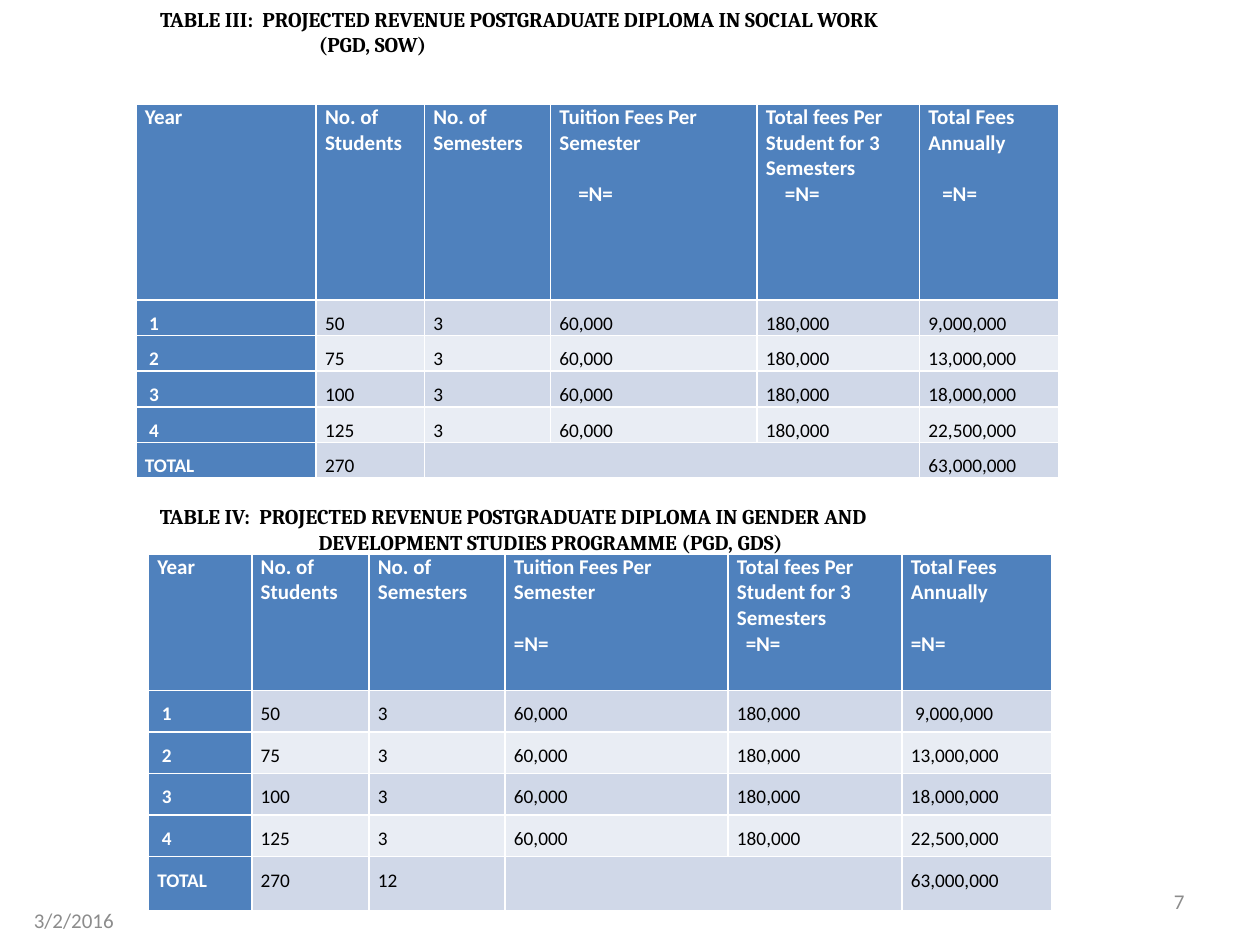
from lxml.etree import SubElement
from pptx import Presentation
from pptx.dml.color import RGBColor
from pptx.enum.text import MSO_ANCHOR as Anchor, MSO_AUTO_SIZE as AutoSize, PP_ALIGN as Align
from pptx.oxml.ns import qn
from pptx.util import Inches, Pt

BLUE, WHITE, BLACK, GREY = "4F81BD", "FFFFFF", "000000", "8C8C8C"
BANDS = ["D0D8E8", "E9EDF4"]
HEADERS = ["Year", "No. of Students", "No. of Semesters", "Tuition Fees Per Semester",
           "Total fees Per Student for 3 Semesters", "Total Fees Annually"]
FIRST_UNIT_COL = 3
STUDENTS = [50, 75, 100, 125]
ANNUAL_FEES = ["9,000,000", "13,000,000", "18,000,000", "22,500,000"]
YEARS = [[f" {year}", str(students), "3", "60,000", "180,000", fees]
         for year, (students, fees) in enumerate(zip(STUDENTS, ANNUAL_FEES), 1)]


def rgb(hex_code):
    return RGBColor.from_string(hex_code)


def write(paragraph, text, size=12, font="Calibri", color=BLACK, bold=False,
          align=Align.LEFT, indent=0, before=0, spacing=None):
    run = paragraph.add_run()
    run.text = text
    run.font.size, run.font.name, run.font.bold = Pt(size), font, bold
    run.font.color.rgb = rgb(color)
    paragraph.alignment = align
    paragraph.space_before = Pt(before)
    if spacing:
        paragraph.line_spacing = spacing
    if indent:
        paragraph._p.get_or_add_pPr().set("marL", str(Inches(indent)))


def place(shape, left, top, width, height, anchor):
    shape.left, shape.top = Inches(left), Inches(top)
    shape.width, shape.height = Inches(width), Inches(height)
    frame = shape.text_frame
    frame.word_wrap, frame.auto_size = True, AutoSize.NONE
    frame.vertical_anchor = anchor
    return frame


def add_box(slide):
    return slide.shapes.add_textbox(0, 0, 0, 0)


def fill_heading(shape, top, width, first_line, second_line):
    frame = place(shape, 1.17, top, width, 0.81, Anchor.TOP)
    style = dict(font="Cambria", bold=True)
    write(frame.paragraphs[0], first_line, **style)
    write(frame.add_paragraph(), second_line, indent=1.26, **style)


def add_footer(slide, left, top, text, align):
    frame = place(add_box(slide), left, top, 2.33, 0.4, Anchor.MIDDLE)
    write(frame.paragraphs[0], text, color=GREY, align=align)


def style_cell(cell, color):
    cell.fill.solid()
    cell.fill.fore_color.rgb = rgb(color)
    cell.margin_left = cell.margin_right = Inches(0.07)
    cell.margin_top = cell.margin_bottom = 0


def fill_header(cell, col, unit_indents):
    style_cell(cell, BLUE)
    style = dict(color=WHITE, bold=True)
    write(cell.text_frame.paragraphs[0], HEADERS[col], **style)
    if col >= FIRST_UNIT_COL:
        # Two-line labels leave a line free so that every unit sits level.
        before = 0 if "Student" in HEADERS[col] else 14.65
        write(cell.text_frame.add_paragraph(), "=N=", before=before,
              indent=unit_indents[col - FIRST_UNIT_COL], **style)


def fill_value(cell, text, row, col):
    is_label = col == 0
    style_cell(cell, BLUE if is_label else BANDS[(row - 1) % 2])
    paragraph = cell.text_frame.paragraphs[0]
    if text:
        write(paragraph, text, size=11, spacing=1.5, bold=is_label,
              color=WHITE if is_label else BLACK)
    else:
        SubElement(paragraph._p, qn("a:endParaRPr")).set("sz", "1100")


def add_revenue_table(slide, left, top, widths, heights, body, unit_indents, merge_from):
    """Draw one projection; the total row is merged from merge_from to the fifth column."""
    table = slide.shapes.add_table(
        len(heights), len(widths), Inches(left), Inches(top),
        Inches(sum(widths)), Inches(sum(heights))).table
    table.first_col = True
    for column, width in zip(table.columns, widths):
        column.width = Inches(width)
    for row, height in zip(table.rows, heights):
        row.height = Inches(height)
    for col in range(len(HEADERS)):
        fill_header(table.cell(0, col), col, unit_indents)
    for row, values in enumerate(body, 1):
        for col, text in enumerate(values):
            fill_value(table.cell(row, col), text, row, col)
    total_row = len(body)
    table.cell(total_row, merge_from).merge(table.cell(total_row, 4))


def main():
    prs = Presentation()
    prs.slide_width, prs.slide_height = Inches(10), Inches(7.5)
    slide = prs.slides.add_slide(prs.slide_layouts[5])

    add_revenue_table(
        slide, 1.08, 0.83, [1.43, 0.86, 1, 1.64, 1.29, 1.1], [1.55] + [0.27] * 5,
        YEARS + [["TOTAL", "270", "", "", "", "63,000,000"]],
        unit_indents=[0.15, 0.15, 0.11], merge_from=2)
    fill_heading(slide.shapes.title, 0, 7.42,
                 "TABLE III:  PROJECTED REVENUE POSTGRADUATE DIPLOMA IN SOCIAL WORK",
                 "(PGD, SOW)")

    first_year = YEARS[0][:-1] + [" 9,000,000"]
    add_revenue_table(
        slide, 1.18, 4.4, [0.82, 0.93, 1.08, 1.77, 1.38, 1.19], [1.08] + [0.33] * 4 + [0.43],
        [first_year] + YEARS[1:] + [["TOTAL", "270", "12", "", "", "63,000,000"]],
        unit_indents=[0, 0.07, 0], merge_from=3)
    fill_heading(add_box(slide), 3.95, 7.33,
                 "TABLE IV:  PROJECTED REVENUE POSTGRADUATE DIPLOMA IN GENDER AND",
                 "DEVELOPMENT STUDIES PROGRAMME (PGD, GDS)")

    add_footer(slide, 7.17, 6.95, "7", Align.RIGHT)
    add_footer(slide, 0.17, 7.1, "3/2/2016", Align.LEFT)
    prs.save("out.pptx")


if __name__ == "__main__":
    main()
